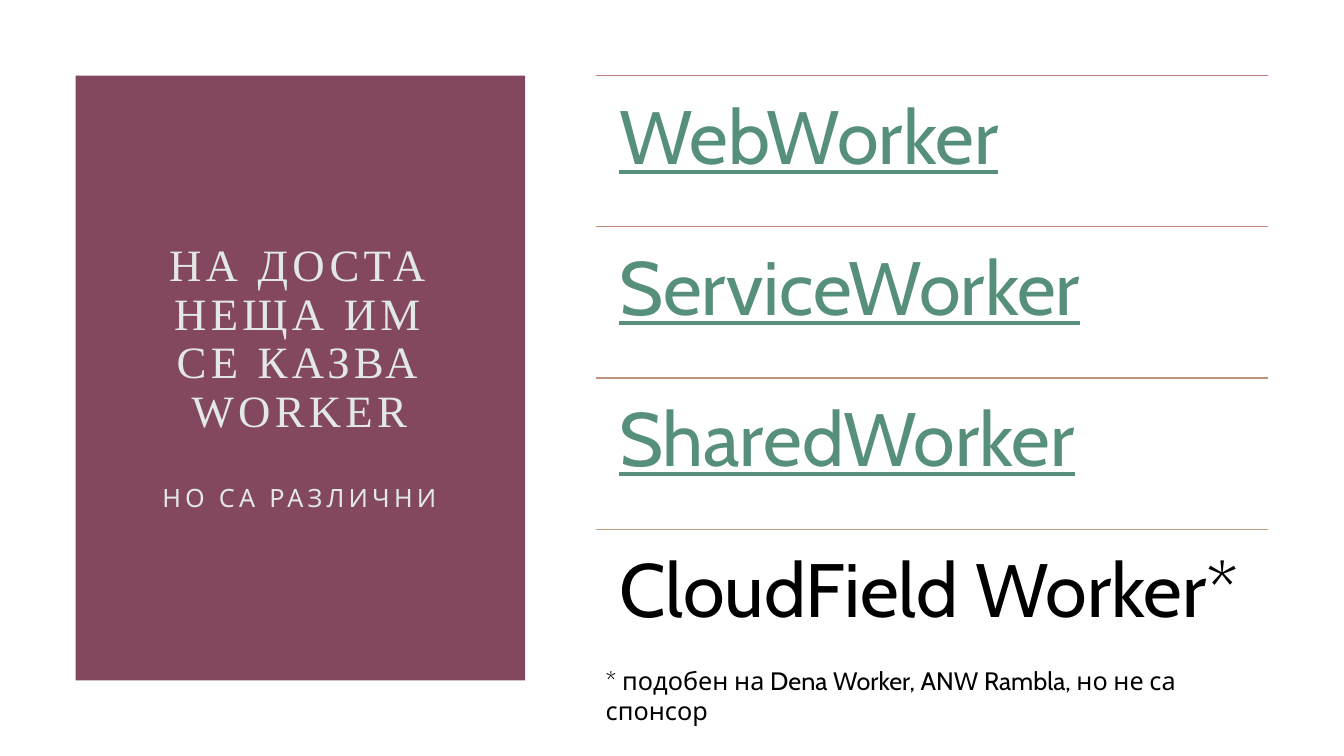
from pptx import Presentation
from pptx.dml.color import RGBColor
from pptx.enum.shapes import MSO_CONNECTOR, MSO_SHAPE
from pptx.enum.text import MSO_ANCHOR, MSO_AUTO_SIZE, PP_ALIGN
from pptx.oxml.ns import qn
from pptx.util import Inches, Pt
from lxml import etree


def rgb(hex_color):
    return RGBColor.from_string(hex_color)


def add_run(p, text, size, color, font="Cabin"):
    r = p.add_run()
    r.text = text
    r.font.size = Pt(size)
    r.font.name = font
    r.font.color.rgb = rgb(color)
    return r


prs = Presentation()
prs.slide_width, prs.slide_height = Inches(13.33), Inches(7.5)
s = prs.slides.add_slide(prs.slide_layouts[6])

# Left panel
panel = s.shapes.add_shape(MSO_SHAPE.RECTANGLE, Inches(0.75), Inches(0.75), Inches(4.46), Inches(6))
panel.shadow.inherit = False
panel.fill.solid()
panel.fill.fore_color.rgb = rgb("83485F")
panel.line.fill.background()

# Title and subtitle, letter-spaced
title = s.shapes.add_textbox(Inches(1.49), Inches(1.5), Inches(2.96), Inches(4.5))
tf = title.text_frame
tf.word_wrap = True
tf.vertical_anchor = MSO_ANCHOR.MIDDLE
heading, subtitle = tf.paragraphs[0], tf.add_paragraph()
subtitle.space_before = Pt(35)
for p, text, size, font in [
    (heading, "НА ДОСТА НЕЩА ИМ СЕ КАЗВА WORKER", 32, "Times New Roman"),
    (subtitle, "НО СА РАЗЛИЧНИ", 18, "Cabin"),
]:
    p.alignment = PP_ALIGN.CENTER
    p.line_spacing = 0.9
    r = add_run(p, text, size, "E2E8E6", font)
    r.font._element.set("spc", "300")

# Worker list: a rule above each entry
left, width, row_height = 5.91, 6.67, 1.5
workers = [
    ("WebWorker", "BE7E7B", True),
    ("ServiceWorker", "BF897C", True),
    ("SharedWorker", "BF947E", True),
    ("CloudField Worker*", "C09E7F", False),
]
for i, (name, line_color, linked) in enumerate(workers):
    top = Inches(0.75 + i * row_height)
    rule = s.shapes.add_connector(MSO_CONNECTOR.STRAIGHT, Inches(left), top, Inches(left + width), top)
    rule.line.color.rgb = rgb(line_color)
    rule.line.width = Pt(1)
    etree.SubElement(rule._element.spPr, qn("a:effectLst"))

    tf = s.shapes.add_textbox(Inches(left), top, Inches(width), Inches(row_height)).text_frame
    tf.word_wrap = True
    tf.margin_left = tf.margin_right = tf.margin_top = tf.margin_bottom = Inches(0.23)
    p = tf.paragraphs[0]
    p.line_spacing = 0.9
    r = add_run(p, name, 54, "568F7A" if linked else "000000")
    if linked:
        r.font.underline = True

# Footnote
footnote = s.shapes.add_textbox(Inches(left), Inches(6.55), Inches(width), Inches(0.4))
tf = footnote.text_frame
tf.word_wrap = True
tf.auto_size = MSO_AUTO_SIZE.SHAPE_TO_FIT_TEXT
add_run(tf.paragraphs[0], "* подобен на Dena Worker, ANW Rambla, но не са спонсор", 18, "000000")

prs.save("out.pptx")
